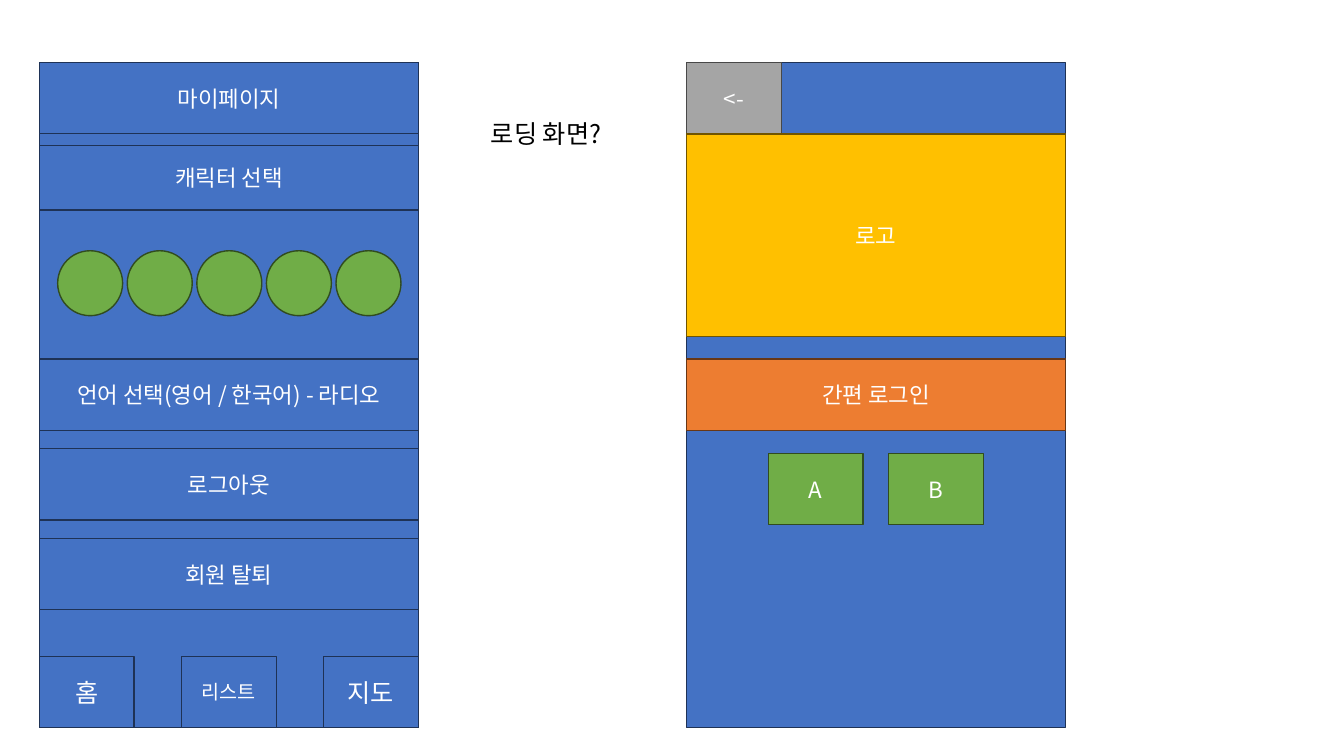
from lxml import etree
from pptx import Presentation
from pptx.dml.color import RGBColor
from pptx.enum.shapes import MSO_SHAPE
from pptx.enum.text import MSO_ANCHOR, MSO_AUTO_SIZE, PP_ALIGN
from pptx.oxml.ns import qn
from pptx.util import Pt

RECTANGLE = MSO_SHAPE.RECTANGLE
CIRCLE = MSO_SHAPE.FLOWCHART_CONNECTOR
MIDDLE = MSO_ANCHOR.MIDDLE
CENTER = PP_ALIGN.CENTER
LEFT = PP_ALIGN.LEFT
GROW = MSO_AUTO_SIZE.SHAPE_TO_FIT_TEXT

FONT = "Noto Sans CJK KR"
WHITE, BLACK = "FFFFFF", "000000"
# Each style is a fill and its darker outline
BLUE = ("4472C4", "1E3256")
GRAY = ("A5A5A5", "484848")
GOLD = ("FFC000", "705400")
ORANGE = ("ED7D31", "683715")
GREEN = ("70AD47", "314C1F")

PHONE_TOP, PHONE_WIDTH, PHONE_HEIGHT = 44.6, 270.8, 475.2
MY_PAGE_LEFT, LOGIN_LEFT = 28.1, 490.3
BUTTON_WIDTH, ROW_HEIGHT = 67.8, 51
OPTIONS_TOP, OPTION_STEP = 256.4, 64.1


def color(value):
    return RGBColor.from_string(value)


class Wireframe:
    """Draws the screen elements on one page in a shared style."""

    def __init__(self, page):
        self.page = page

    def label(self, frame, text, size, ink, align):
        para = frame.paragraphs[0]
        para.alignment = align
        span = para.add_run()
        span.text = text
        span.font.color.rgb = color(ink)
        for name, value in {"size": Pt(size), "name": FONT}.items():
            setattr(span.font, name, value)
        etree.SubElement(span.font._element, qn("a:ea"), typeface=FONT)

    def block(self, left, top, width, height, style, text="", size=16,
              kind=RECTANGLE, parent=None):
        """Add a filled, outlined shape with an optional centred label."""
        shapes = (parent or self.page).shapes
        box = shapes.add_shape(kind, Pt(left), Pt(top), Pt(width), Pt(height))
        box.shadow.inherit = False
        fill, line = style
        box.fill.solid()
        box.fill.fore_color.rgb = color(fill)
        box.line.color.rgb = color(line)
        box.line.width = Pt(1)
        if text:
            box.text_frame.vertical_anchor = MIDDLE
            self.label(box.text_frame, text, size, WHITE, CENTER)

    def phone(self, left):
        self.block(left, PHONE_TOP, PHONE_WIDTH, PHONE_HEIGHT, BLUE)

    def row(self, left, top, text, style=BLUE, height=ROW_HEIGHT):
        self.block(left, top, PHONE_WIDTH, height, style, text)

    def button(self, left, top, text, style, size=16, parent=None):
        self.block(left, top, BUTTON_WIDTH, ROW_HEIGHT, style, text, size,
                   parent=parent)

    def note(self, left, top, width, height, text, size):
        box = self.page.shapes.add_textbox(Pt(left), Pt(top), Pt(width), Pt(height))
        for name, value in {"word_wrap": False, "auto_size": GROW}.items():
            setattr(box.text_frame, name, value)
        self.label(box.text_frame, text, size, BLACK, LEFT)


def draw_my_page(wireframe):
    wireframe.phone(MY_PAGE_LEFT)
    tab_top = PHONE_TOP + PHONE_HEIGHT - ROW_HEIGHT
    tab_step = (PHONE_WIDTH - BUTTON_WIDTH) / 2
    for index, (text, size) in enumerate([("홈", 18), ("리스트", 14), ("지도", 18)]):
        wireframe.button(MY_PAGE_LEFT + index * tab_step, tab_top, text, BLUE, size)
    wireframe.row(MY_PAGE_LEFT, PHONE_TOP, "마이페이지")
    wireframe.row(MY_PAGE_LEFT, 103.8, "캐릭터 선택", height=46.2)
    options = ["언어 선택(영어 / 한국어) - 라디오", "로그아웃", "회원 탈퇴"]
    for index, text in enumerate(options):
        wireframe.row(MY_PAGE_LEFT, OPTIONS_TOP + index * OPTION_STEP, text)


def draw_login(wireframe):
    wireframe.phone(LOGIN_LEFT)
    wireframe.button(LOGIN_LEFT, PHONE_TOP, "<-", GRAY)
    wireframe.row(LOGIN_LEFT, PHONE_TOP + ROW_HEIGHT, "로고", GOLD, 144.6)
    wireframe.row(LOGIN_LEFT, OPTIONS_TOP, "간편 로그인", ORANGE)
    choices = wireframe.page.shapes.add_group_shape()
    for index, text in enumerate("AB"):
        wireframe.button(548.8 + index * 86, 323.9, text, GREEN, parent=choices)


def draw_characters(wireframe):
    for index in range(5):
        wireframe.block(41.2 + index * 49.7, 179.1, 46.4, 46.4, GREEN, kind=CIRCLE)


def main():
    deck = Presentation()
    deck.slide_width, deck.slide_height = Pt(960), Pt(540)
    wireframe = Wireframe(deck.slides.add_slide(deck.slide_layouts[6]))
    draw_my_page(wireframe)
    wireframe.note(343.6, 80.8, 102.2, 29.1, "로딩 화면?", 18)
    draw_login(wireframe)
    draw_characters(wireframe)
    deck.save("out.pptx")


if __name__ == "__main__":
    main()
